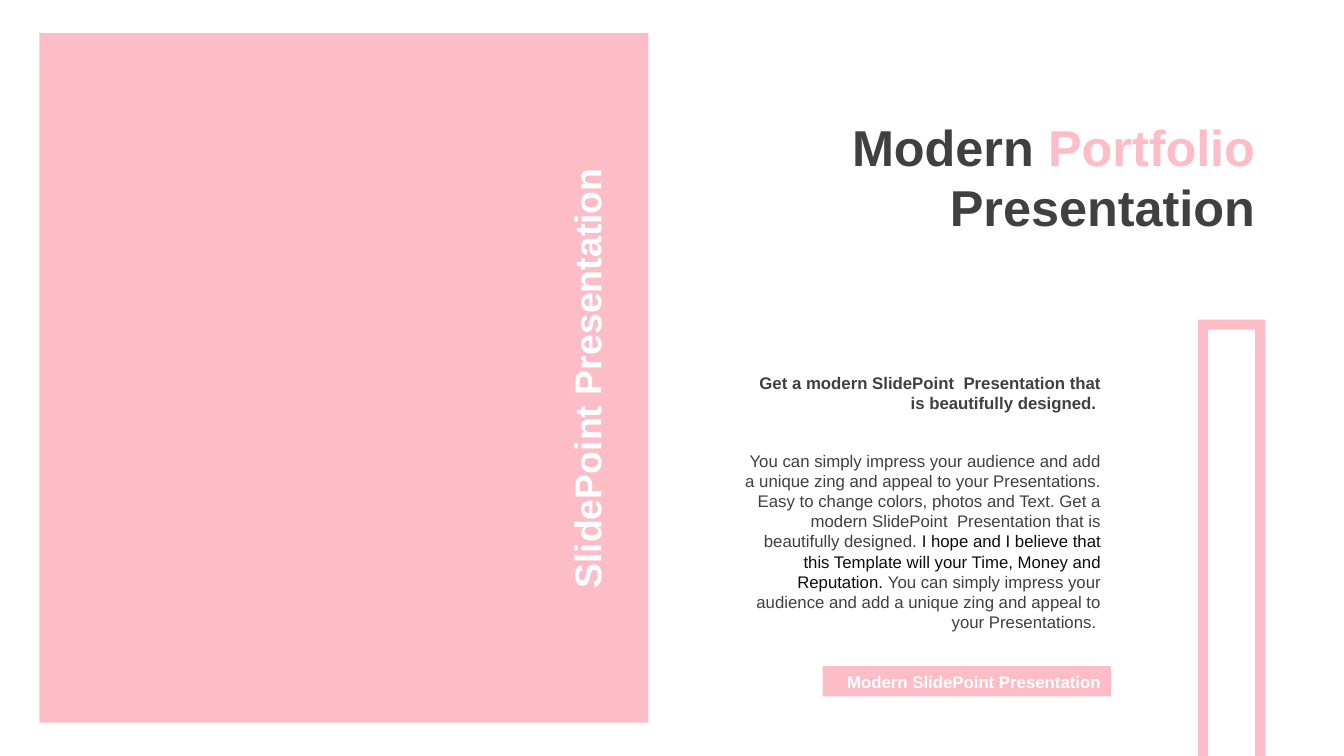
"""Build a portfolio cover slide with a pink panel, a heading and body copy."""
from dataclasses import dataclass

from pptx import Presentation
from pptx import util as u
from pptx.dml.color import RGBColor
from pptx.enum import shapes, text


@dataclass(frozen=True)
class Theme:
    font: str = "Arial"
    pink: str = "FDBDC7"
    dark: str = "404040"
    ink: str = "0D0D0D"
    white: str = "FFFFFF"
    title: float = 36
    side: float = 26.7
    body: float = 12
    leading: float = 1.2


class Cover:
    def __init__(self, prs, theme):
        self.theme = theme
        self.s = prs.slides.add_slide(prs.slide_layouts[5])

    def paint(self, sp):
        sp.shadow.inherit = False
        sp.fill.solid()
        sp.fill.fore_color.rgb = RGBColor.from_string(self.theme.pink)
        sp.line.fill.background()
        return sp

    def set_text(self, sp, runs, size, bold=False, align=text.PP_ALIGN.RIGHT,
                 anchor=text.MSO_ANCHOR.TOP):
        tf = sp.text_frame
        tf.word_wrap = True
        tf.auto_size = text.MSO_AUTO_SIZE.NONE
        tf.vertical_anchor = anchor
        p = tf.paragraphs[0]
        p.alignment = align
        p.line_spacing = u.Pt(size * self.theme.leading)
        p.font.name, p.font.size, p.font.bold = self.theme.font, u.Pt(size), bold
        for words, color in runs:
            r = p.add_run()
            r.text = words
            r.font.color.rgb = RGBColor.from_string(color)

    def title(self, box, runs):
        sp = self.s.shapes.title
        sp.left, sp.top, sp.width, sp.height = map(u.Inches, box)
        self.set_text(sp, runs, self.theme.title, bold=True)

    def label(self, box, runs, size, rotation=0, **style):
        sp = self.s.shapes.add_textbox(*map(u.Inches, box))
        sp.rotation = rotation
        self.set_text(sp, runs, size, **style)

    def panel(self, box):
        return self.paint(self.s.shapes.add_shape(
            shapes.MSO_SHAPE.RECTANGLE, *map(u.Inches, box)))

    def button(self, box, words):
        self.set_text(self.panel(box), [(words, self.theme.white)], self.theme.body,
                      bold=True, anchor=text.MSO_ANCHOR.MIDDLE)

    def open_frame(self, left, top, right, bottom, band):
        inner_left, inner_right = left + band, right - band
        points = [(right, top), (right, bottom), (inner_right, bottom),
                  (inner_right, top + band), (inner_left, top + band),
                  (inner_left, bottom), (left, bottom)]
        fb = self.s.shapes.build_freeform(u.Inches(left), u.Inches(top))
        fb.add_line_segments([(u.Inches(x), u.Inches(y)) for x, y in points])
        self.paint(fb.convert_to_shape())


def main():
    prs = Presentation()
    prs.slide_width, prs.slide_height = u.Inches(13.33), u.Inches(7.5)
    t = Theme()
    cover = Cover(prs, t)
    cover.panel((0.39, 0.33, 6.04, 6.84))
    cover.title((7.65, 1.1, 4.9, 1.31), [
        ("Modern ", t.dark), ("Portfolio ", t.pink), ("Presentation", t.dark)])
    cover.label((7.25, 4.42, 3.77, 1.92), [
        ("You can simply impress your audience and add a unique zing and appeal "
         "to your Presentations. Easy to change colors, photos and Text. Get a "
         "modern SlidePoint  Presentation that is beautifully designed.", t.dark),
        (" I hope and I believe that this Template will your Time, Money and "
         "Reputation. ", t.ink),
        ("You can simply impress your audience and add a unique zing and appeal "
         "to your Presentations. ", t.dark)], t.body)
    cover.label((7.25, 3.65, 3.77, 0.5), [
        ("Get a modern SlidePoint  Presentation that is beautifully designed. ",
         t.dark)], t.body, bold=True)
    cover.button((8.16, 6.61, 2.86, 0.3), "Modern SlidePoint Presentation")
    cover.label((3.38, 3.48, 4.88, 0.55), [("SlidePoint Presentation", t.white)],
                t.side, rotation=270, bold=True, align=text.PP_ALIGN.CENTER)
    cover.open_frame(11.88, 3.17, 12.55, 7.5, band=0.1)
    prs.save("out.pptx")


if __name__ == "__main__":
    main()
